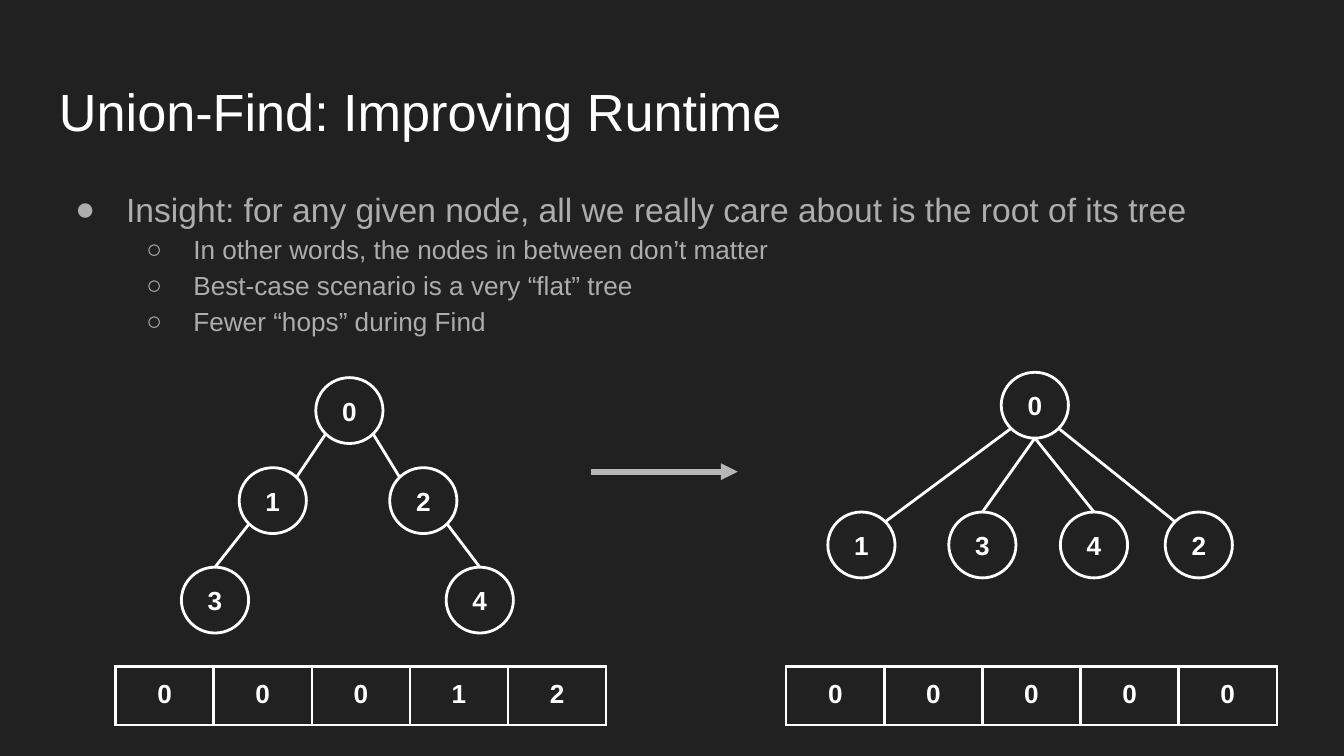
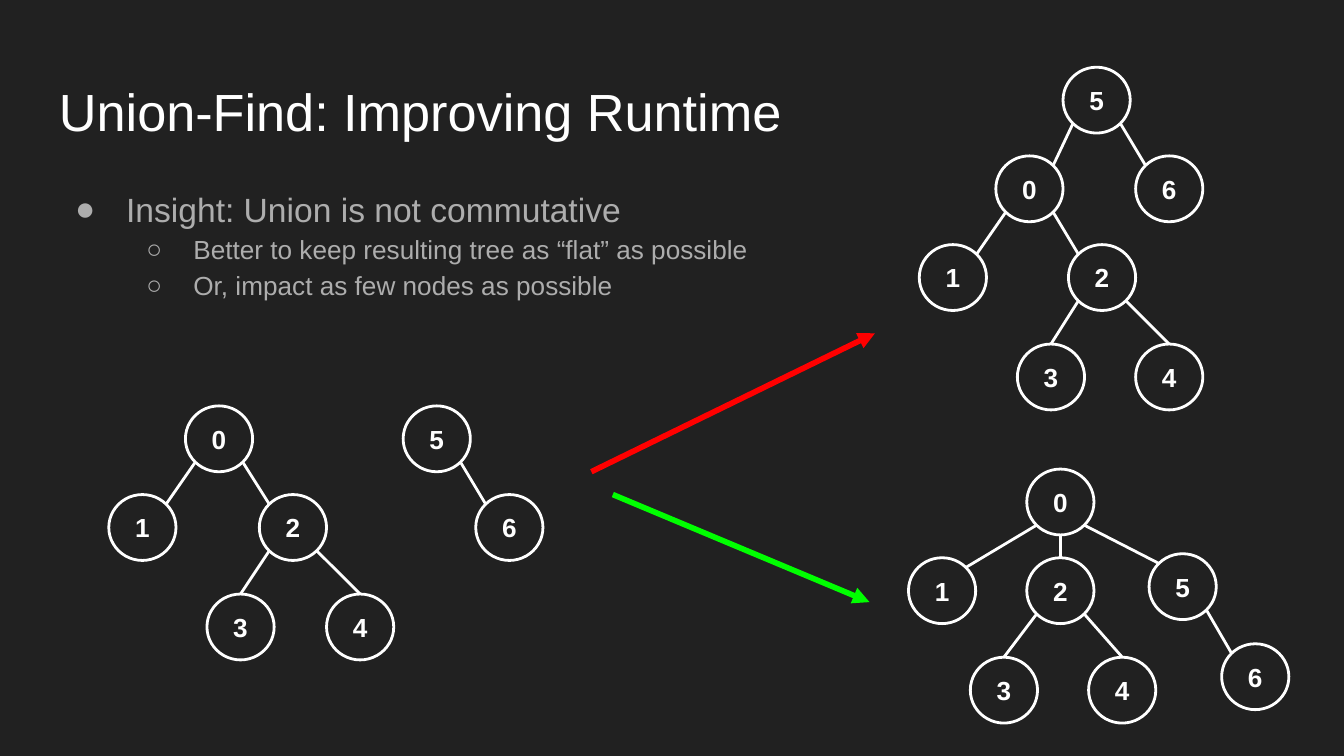
"""Builds two slides on improving the runtime of Union-Find."""
from lxml.etree import SubElement
from pptx import Presentation
from pptx.dml.color import RGBColor
from pptx.enum.shapes import MSO_CONNECTOR, MSO_SHAPE
from pptx.enum.text import MSO_ANCHOR, PP_ALIGN
from pptx.oxml.ns import qn
from pptx.util import Inches, Pt

DARK = RGBColor(0x21, 0x21, 0x21)
WHITE = RGBColor(0xFF, 0xFF, 0xFF)
GREY = RGBColor(0xAD, 0xAD, 0xAD)
ARROW_GREY = RGBColor(0xB7, 0xB7, 0xB7)
RED = RGBColor(0xFF, 0x00, 0x00)
GREEN = RGBColor(0x00, 0xFF, 0x00)

TITLE = {"size": Pt(28), "name": "Arial"}
BODY = {"size": Pt(18), "name": "Arial"}
SUB = {"size": Pt(14), "name": "Arial"}
LABEL = {"size": Pt(14), "name": "Arial", "bold": True}
BULLETS = [("●", 0.5, -0.38, BODY), ("○", 1, -0.35, SUB)]

NODE_W, NODE_H = 0.5, 0.49
SITES = {"t": (0.5, 0), "b": (0.5, 1), "tl": (0.15, 0.15), "tr": (0.85, 0.15),
         "bl": (0.15, 0.85), "br": (0.85, 0.85)}
COL_W, ROW_H = 0.73, 0.42

SLIDES = [
    {
        "body_size": (9.32, 1.28),
        "bullets": [
            (0, "Insight: for any given node, all we really care about is the root of its tree"),
            (1, "In other words, the nodes in between don’t matter"),
            (1, "Best-case scenario is a very “flat” tree"),
            (1, "Fewer “hops” during Find"),
        ],
        "trees": [
            ({"0": (2.35, 2.81), "1": (1.78, 3.48), "2": (2.9, 3.48),
              "3": (1.35, 4.22), "4": (3.32, 4.22)},
             ["0 bl 1 tr", "0 br 2 tl", "1 bl 3 t", "2 br 4 t"]),
            ({"0": (7.45, 2.77), "1": (6.16, 3.81), "2": (8.67, 3.81),
              "3": (7.06, 3.81), "4": (7.89, 3.81)},
             ["0 bl 1 tr", "0 br 2 tl", "0 b 3 t", "0 b 4 t"]),
        ],
        "arrows": [((4.4, 3.51), (5.49, 3.51), ARROW_GREY)],
        "arrays": [(0.86, "00012"), (5.85, "00000")],
    },
    {
        "body_size": (5.45, 1.03),
        "bullets": [
            (0, "Insight: Union is not commutative"),
            (1, "Better to keep resulting tree as “flat” as possible"),
            (1, "Or, impact as few nodes as possible"),
        ],
        "trees": [
            ({"0": (1.38, 3.02), "1": (0.81, 3.68), "2": (1.93, 3.68),
              "3": (1.54, 4.42), "4": (2.43, 4.42)},
             ["0 bl 1 tr", "0 br 2 tl", "2 bl 3 t", "2 br 4 t"]),
            ({"5": (3, 3.02), "6": (3.54, 3.68)}, ["5 br 6 tl"]),
            ({"0": (7.41, 1.16), "1": (6.84, 1.82), "2": (7.95, 1.82),
              "3": (7.57, 2.56), "4": (8.45, 2.56), "5": (7.91, 0.5), "6": (8.45, 1.16)},
             ["0 bl 1 tr", "0 br 2 tl", "2 bl 3 t", "2 br 4 t", "5 br 6 tl", "5 bl 0 tr"]),
            ({"0": (7.64, 3.49), "1": (6.76, 4.15), "2": (7.64, 4.15),
              "3": (7.22, 4.89), "4": (8.1, 4.89), "5": (8.55, 4.12), "6": (9.09, 4.79)},
             ["0 bl 1 tr", "0 b 2 t", "2 bl 3 t", "2 br 4 t", "5 br 6 tl", "0 br 5 tl"]),
        ],
        "arrows": [((4.4, 3.51), (6.51, 2.48), RED), ((4.56, 3.68), (6.47, 4.48), GREEN)],
        "arrays": [],
    },
]


def add_text(tf, p, text, font, color, align=PP_ALIGN.LEFT):
    for side in ("left", "right", "top", "bottom"):
        setattr(tf, f"margin_{side}", Inches(0.1))
    p.alignment = align
    r = p.add_run()
    r.text = text
    for key, value in font.items():
        setattr(r.font, key, value)
    r.font.color.rgb = color


def add_line(s, start, end, color, width):
    cxn = s.shapes.add_connector(MSO_CONNECTOR.STRAIGHT, *map(Inches, start + end))
    cxn.line.color.rgb = color
    cxn.line.width = Pt(width)
    SubElement(cxn._element.spPr, qn("a:effectLst"))
    return cxn


prs = Presentation()
prs.slide_width = Inches(10)
prs.slide_height = prs.slide_width * 9 // 16

for data in SLIDES:
    s = prs.slides.add_slide(prs.slide_layouts[6])
    s.background.fill.solid()
    s.background.fill.fore_color.rgb = DARK

    tf = s.shapes.add_textbox(*map(Inches, (0.34, 0.49, 9.32, 0.63))).text_frame
    tf.word_wrap = True
    add_text(tf, tf.paragraphs[0], "Union-Find: Improving Runtime", TITLE, WHITE)

    tf = s.shapes.add_textbox(*map(Inches, (0.34, 1.26) + data["body_size"])).text_frame
    tf.word_wrap = True
    for i, (level, text) in enumerate(data["bullets"]):
        p = tf.add_paragraph() if i else tf.paragraphs[0]
        char, margin, indent, font = BULLETS[level]
        add_text(tf, p, text, font, GREY)
        p.level = level
        p.line_spacing = 1.15
        pPr = p._p.get_or_add_pPr()
        pPr.set("marL", str(Inches(margin)))
        pPr.set("indent", str(Inches(indent)))
        SubElement(SubElement(pPr, qn("a:buClr")), qn("a:srgbClr"), val=str(GREY))
        SubElement(pPr, qn("a:buFont"), typeface="Arial")
        SubElement(pPr, qn("a:buChar"), char=char)

    for nodes, edges in data["trees"]:
        for label, (x, y) in nodes.items():
            sp = s.shapes.add_shape(MSO_SHAPE.OVAL, *map(Inches, (x, y, NODE_W, NODE_H)))
            sp.shadow.inherit = False
            sp.fill.background()
            sp.line.color.rgb = WHITE
            sp.line.width = Pt(1.5)
            tf = sp.text_frame
            tf.vertical_anchor = MSO_ANCHOR.MIDDLE
            add_text(tf, tf.paragraphs[0], label, LABEL, WHITE, PP_ALIGN.CENTER)
        for edge in edges:
            parent, out_site, child, in_site = edge.split()
            start, end = [
                (nodes[n][0] + SITES[site][0] * NODE_W, nodes[n][1] + SITES[site][1] * NODE_H)
                for n, site in ((parent, out_site), (child, in_site))
            ]
            add_line(s, start, end, WHITE, 1.5)

    for start, end, color in data["arrows"]:
        cxn = add_line(s, start, end, color, 3)
        SubElement(cxn.line._get_or_add_ln(), qn("a:tailEnd"), type="triangle")

    for x, values in data["arrays"]:
        size = (x, 4.96, COL_W * len(values), ROW_H)
        table = s.shapes.add_table(1, len(values), *map(Inches, size)).table
        table.first_row = table.horz_banding = False
        for col, value in enumerate(values):
            table.columns[col].width = Inches(COL_W)
            cell = table.cell(0, col)
            add_text(cell, cell.text_frame.paragraphs[0], value, LABEL, WHITE, PP_ALIGN.CENTER)
            tcPr = cell._tc.get_or_add_tcPr()
            for side in ("lnL", "lnR", "lnT", "lnB"):
                ln = SubElement(tcPr, qn(f"a:{side}"), w=str(Pt(1.5)))
                SubElement(SubElement(ln, qn("a:solidFill")), qn("a:srgbClr"), val=str(WHITE))
            cell.fill.background()

prs.save("out.pptx")
